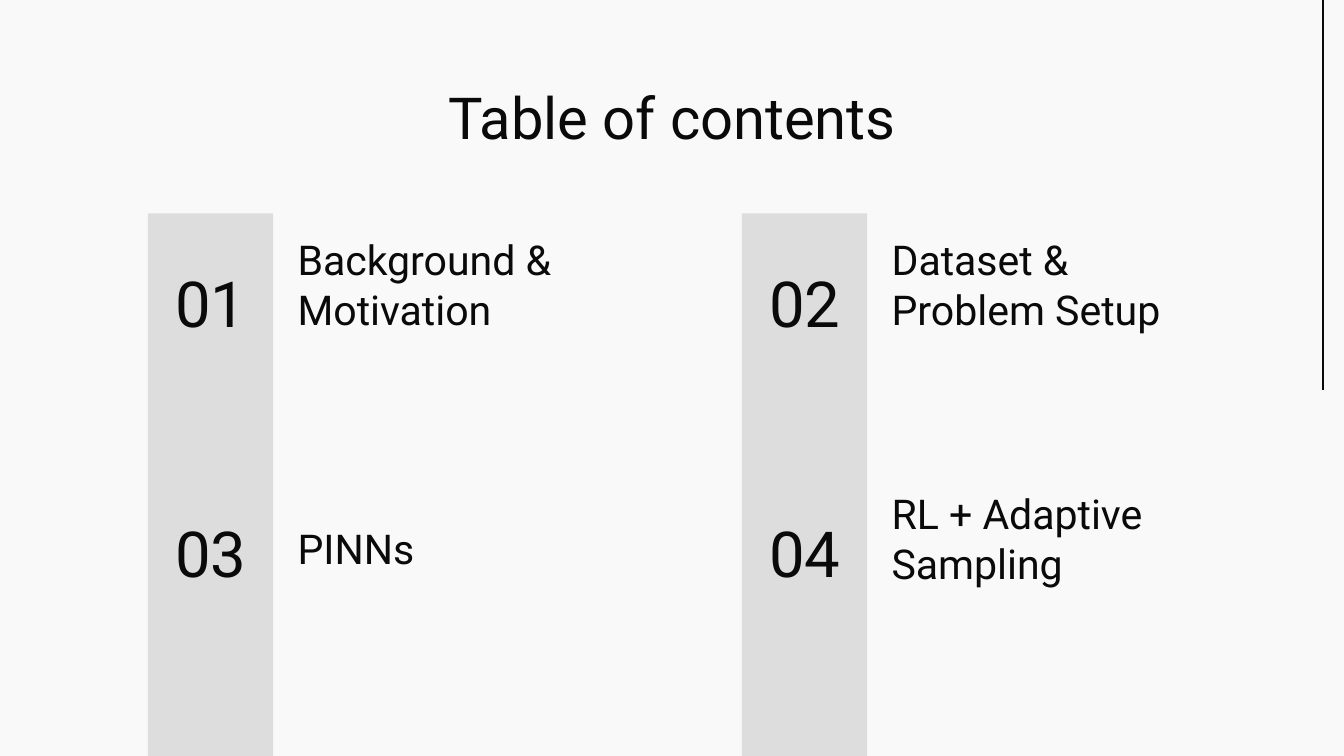
"""Build a table of contents slide with four numbered topics on two grey bars."""
import pptx
import pptx.dml.color
import pptx.enum.shapes
import pptx.enum.text
import pptx.oxml.ns
import pptx.util
from lxml import etree

Pt = pptx.util.Pt
Align = pptx.enum.text.PP_ALIGN
Anchor = pptx.enum.text.MSO_ANCHOR
COLORS = {"background": "F9F9F9", "ink": "0A0A0A", "bar": "DDDDDD"}


def color(name):
    return pptx.dml.color.RGBColor.from_string(COLORS[name])


def write(shape, box, text, size, alignment, anchor):
    shape.left, shape.top, shape.width, shape.height = [Pt(length) for length in box]
    frame = shape.text_frame
    frame.word_wrap = True
    frame.auto_size = pptx.enum.text.MSO_AUTO_SIZE.NONE
    frame.vertical_anchor = anchor
    frame.margin_left = frame.margin_right = Pt(7.2)
    frame.margin_top = frame.margin_bottom = Pt(7.2)
    paragraph = frame.paragraphs[0]
    paragraph.alignment = alignment
    run = paragraph.add_run()
    run.text = text
    run.font.name = "Roboto"
    run.font.size = Pt(size)
    run.font.color.rgb = color("ink")


presentation = pptx.Presentation()
presentation.slide_width = Pt(720)
presentation.slide_height = Pt(405)
slide = presentation.slides.add_slide(presentation.slide_layouts[5])
slide.background.fill.solid()
slide.background.fill.fore_color.rgb = color("background")

edge_line = slide.shapes.add_connector(
    pptx.enum.shapes.MSO_CONNECTOR.STRAIGHT, Pt(708.7), Pt(208.8), Pt(708.7), Pt(0))
edge_line.line.color.rgb = color("ink")
edge_line.line.width = Pt(0.75)
etree.SubElement(edge_line._element.spPr, pptx.oxml.ns.qn("a:effectLst"))

write(slide.shapes.title, (56.2, 36.7, 607.6, 43.2), "Table of contents", 31, Align.CENTER, Anchor.TOP)

column_lefts = [79.2, 397.4]
for left in column_lefts:
    bar = slide.shapes.add_shape(
        pptx.enum.shapes.MSO_SHAPE.RECTANGLE, Pt(left), Pt(114.3), Pt(67.2), Pt(290.7))
    bar.shadow.inherit = False
    bar.fill.solid()
    bar.fill.fore_color.rgb = color("bar")
    bar.line.fill.background()

topics = [
    ("Background & Motivation", 122.4, 63.4),
    ("Dataset & Problem Setup", 122.4, 63.4),
    ("PINNs", 277.9, 36),
    ("RL + Adaptive Sampling", 258.5, 63.4),
]
for index, (topic, top, height) in enumerate(topics):
    row, column = divmod(index, 2)
    left = column_lefts[column]
    number_box = (left - 0.7, 116.6 + row * 133.9, 69.1, 90.7)
    topic_box = (left + 73.2, top, 180, height)
    number = slide.shapes.add_textbox(0, 0, 0, 0)
    write(number, number_box, f"{index + 1:02d}", 34, Align.CENTER, Anchor.MIDDLE)
    label = slide.shapes.add_textbox(0, 0, 0, 0)
    write(label, topic_box, topic, 22, Align.LEFT, Anchor.BOTTOM)

presentation.save("out.pptx")
